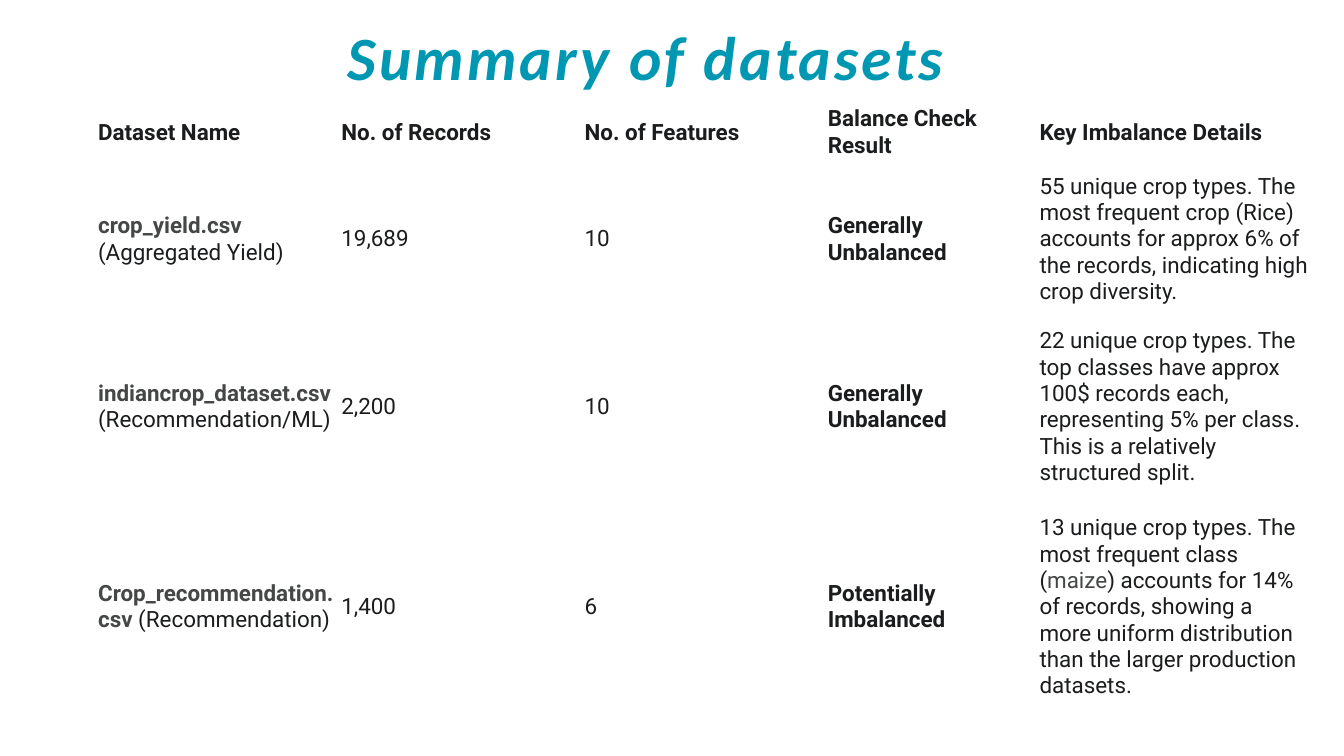
import pptx
import pptx.dml.color
import pptx.enum.text
import pptx.oxml
import pptx.oxml.ns
import pptx.util

TEAL = pptx.dml.color.RGBColor(0x00, 0x97, 0xB2)
INK = pptx.dml.color.RGBColor(0x1B, 0x1C, 0x1D)
GREY = pptx.dml.color.RGBColor(0x44, 0x47, 0x46)
WHITE = pptx.dml.color.RGBColor(0xFF, 0xFF, 0xFF)

# Column widths and row heights, in percent of the slide
COLUMNS = [18.1, 18.1, 18.1, 15.75, 20.4]
ROWS = [7.11, 20.62, 23.73, 29.24]

HEADINGS = ["Dataset Name", "No. of Records", "No. of Features",
            "Balance Check Result", "Key Imbalance Details"]

# File, purpose, records, features, balance, details as (text, colour) pieces
DATASETS = [
    ("crop_yield.csv", "Aggregated Yield", "19,689", "10", "Generally Unbalanced",
     [("55 unique crop types. The most frequent crop (Rice) accounts for approx 6% "
       "of the records, indicating high crop diversity.", INK)]),
    ("indiancrop_dataset.csv", "Recommendation/ML", "2,200", "10", "Generally Unbalanced",
     [("22 unique crop types. The top classes have approx 100$ records each, "
       "representing 5% per class. This is a relatively structured split.", INK)]),
    ("Crop_recommendation.csv", "Recommendation", "1,400", "6", "Potentially Imbalanced",
     [("13 unique crop types. The most frequent class (", INK), ("maize", GREY),
      (") accounts for 14% of records, showing a more uniform distribution than "
       "the larger production datasets.", INK)]),
]


def add_text(paragraph, text, font="Roboto", size=24, color=INK, bold=False,
             italic=False, spacing=None):
    """Append a formatted run; spacing is between letters, in points."""
    run = paragraph.add_run()
    run.text = text
    run.font.name = font
    run.font.size = pptx.util.Pt(size)
    run.font.color.rgb = color
    run.font.bold = bold
    run.font.italic = italic
    if spacing is not None:
        run.font._element.set("spc", str(round(spacing * 100)))


class SummarySlide:
    """Places elements by percent of the slide's width and height."""

    def __init__(self, presentation):
        self.width = presentation.slide_width
        self.height = presentation.slide_height
        self.slide = presentation.slides.add_slide(presentation.slide_layouts[5])
        self.slide.background.fill.solid()
        self.slide.background.fill.fore_color.rgb = WHITE

    def across(self, percent):
        return round(self.width * percent / 100)

    def down(self, percent):
        return round(self.height * percent / 100)

    def title(self, text, left, top, width, height):
        title = self.slide.shapes.title
        title.left, title.top = self.across(left), self.down(top)
        title.width, title.height = self.across(width), self.down(height)
        frame = title.text_frame
        frame.margin_left = frame.margin_right = 0
        frame.margin_top = frame.margin_bottom = 0
        frame.word_wrap = True
        frame.auto_size = pptx.enum.text.MSO_AUTO_SIZE.SHAPE_TO_FIT_TEXT
        frame.vertical_anchor = pptx.enum.text.MSO_ANCHOR.TOP
        paragraph = frame.paragraphs[0]
        paragraph.alignment = pptx.enum.text.PP_ALIGN.CENTER
        paragraph.line_spacing = pptx.util.Pt(84.5)
        add_text(paragraph, text, font="Calibri", size=66, color=TEAL,
                 bold=True, italic=True, spacing=3.3)

    def table(self, left, top, columns, rows):
        table = self.slide.shapes.add_table(
            len(rows), len(columns), self.across(left), self.down(top),
            self.across(sum(columns)), self.down(sum(rows))).table
        table.first_row = table.horz_banding = False
        for column, width in zip(table.columns, columns):
            column.width = self.across(width)
        for row, height in zip(table.rows, rows):
            row.height = self.down(height)
        return table

    def cell(self, cell, pieces):
        """Fill a cell with (text, colour, bold) pieces."""
        cell.margin_left = cell.margin_right = pptx.util.Inches(0.04)
        cell.margin_top = cell.margin_bottom = pptx.util.Inches(0.03)
        cell.vertical_anchor = pptx.enum.text.MSO_ANCHOR.MIDDLE
        self.borders(cell)
        cell.fill.background()
        for text, color, bold in pieces:
            add_text(cell.text_frame.paragraphs[0], text, color=color, bold=bold)

    def borders(self, cell, color=WHITE, points=0.6):
        properties = cell._tc.get_or_add_tcPr()
        for side in ("lnL", "lnR", "lnT", "lnB"):
            properties.append(pptx.oxml.parse_xml(
                f'<a:{side} {pptx.oxml.ns.nsdecls("a")} w="{pptx.util.Pt(points)}">'
                f'<a:solidFill><a:srgbClr val="{color}"/></a:solidFill></a:{side}>'))


def main():
    presentation = pptx.Presentation()
    presentation.slide_width = pptx.util.Inches(20)
    presentation.slide_height = pptx.util.Inches(11.25)
    summary = SummarySlide(presentation)

    summary.title("Summary of datasets", 12.5, 1.87, 71.1, 9.69)

    # Heading row, then one row per dataset
    content = [[[(heading, INK, True)] for heading in HEADINGS]]
    for file, purpose, records, features, balance, details in DATASETS:
        content.append([
            [(file, GREY, True), (f" ({purpose})", INK, False)],
            [(records, INK, False)],
            [(features, INK, False)],
            [(balance, INK, True)],
            [(text, color, False) for text, color in details],
        ])
    datasets = summary.table(7.1, 13.69, COLUMNS, ROWS)
    for row, cells in enumerate(content):
        for column, pieces in enumerate(cells):
            summary.cell(datasets.cell(row, column), pieces)

    presentation.save("out.pptx")


if __name__ == "__main__":
    main()
